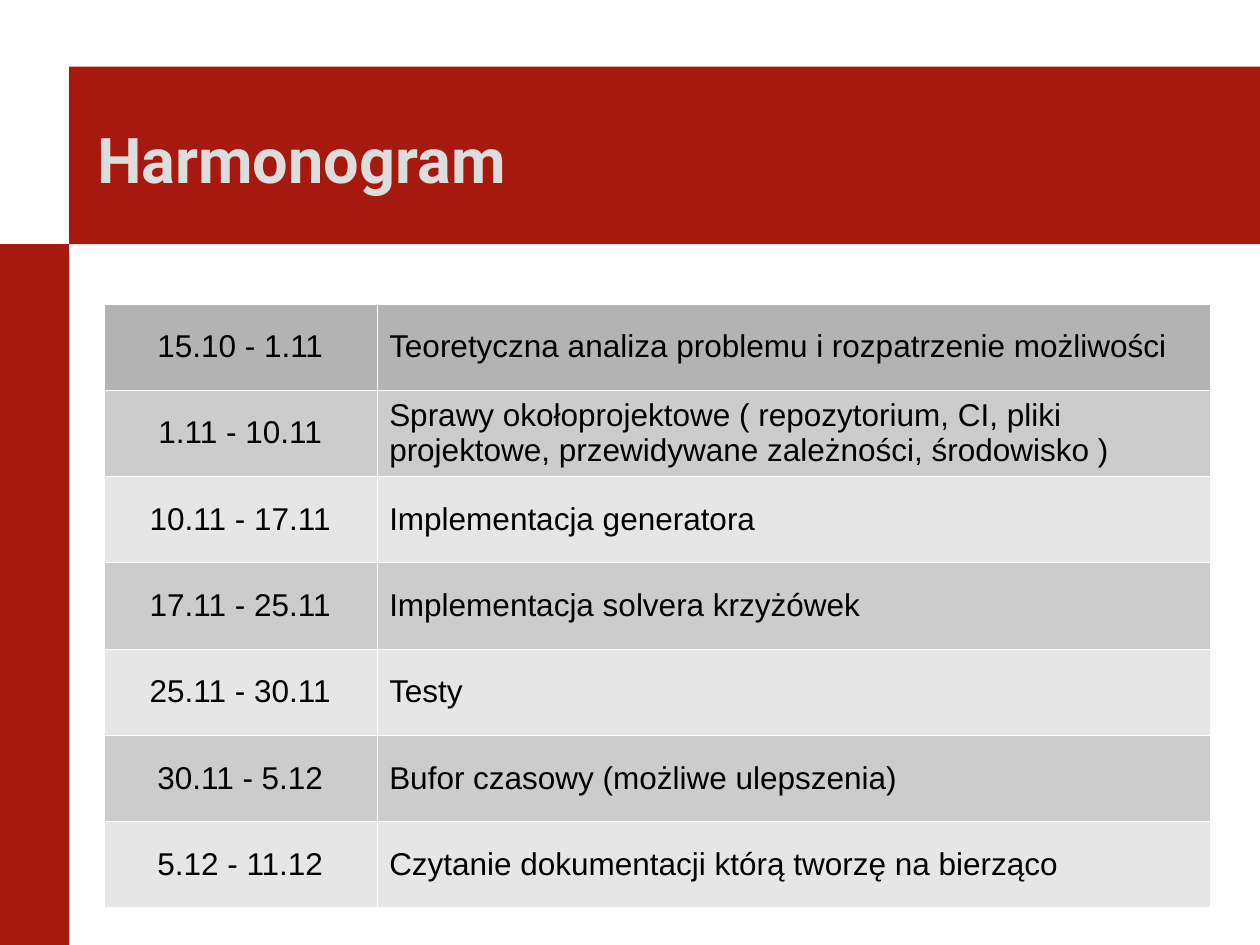
from lxml import etree
from pptx import Presentation
from pptx.dml.color import RGBColor
from pptx.enum.shapes import MSO_SHAPE
from pptx.enum.text import MSO_ANCHOR, PP_ALIGN
from pptx.oxml.ns import qn
from pptx.util import Pt

RECT = MSO_SHAPE.RECTANGLE
MIDDLE = MSO_ANCHOR.MIDDLE
LEFT, CENTER = PP_ALIGN.LEFT, PP_ALIGN.CENTER

TITLE = "Harmonogram"
SCHEDULE = [
    ("15.10 - 1.11", "Teoretyczna analiza problemu i rozpatrzenie możliwości"),
    ("1.11 - 10.11", "Sprawy okołoprojektowe ( repozytorium, CI, pliki projektowe, "
                     "przewidywane zależności, środowisko )"),
    ("10.11 - 17.11", "Implementacja generatora"),
    ("17.11 - 25.11", "Implementacja solvera krzyżówek"),
    ("25.11 - 30.11", "Testy"),
    ("30.11 - 5.12", "Bufor czasowy (możliwe ulepszenia)"),
    ("5.12 - 11.12", "Czytanie dokumentacji którą tworzę na bierząco"),
]

RED, TITLE_GREY, BLACK, WHITE = "A7190E", "DDDDDD", "000000", "FFFFFF"
HEADER_FILL, BAND_FILLS = "B3B3B3", ("E6E6E6", "CCCCCC")

SLIDE_W, SLIDE_H = 720, 540
BAND_X, BAND_Y, BAND_BOTTOM = 39.5, 38, 139.5
BANDS = [
    (BAND_X, BAND_Y, SLIDE_W - BAND_X, BAND_BOTTOM - BAND_Y),
    (0, BAND_BOTTOM, BAND_X, SLIDE_H - BAND_BOTTOM),
]
TITLE_BOX = (48.25, 49.7, 663, 81.4)
TABLE_X, TABLE_Y, ROW_H = 59.25, 173.5, 49.3
COL_WIDTHS = (156, 476.4)
BORDER_W = 0.06


def rgb(hex_color):
    return RGBColor.from_string(hex_color)


def add_text(tf, text, font, size, color, align, bold=False):
    p = tf.paragraphs[0]
    p.alignment = align
    r = p.add_run()
    r.text = text
    r.font.name, r.font.size, r.font.bold = font, Pt(size), bold
    r.font.color.rgb = rgb(color)


def set_borders(cell, color, width):
    """Draw all four cell edges; lines must precede the fill in tcPr."""
    tc_pr = cell._tc.get_or_add_tcPr()
    for i, side in enumerate(("a:lnL", "a:lnR", "a:lnT", "a:lnB")):
        ln = etree.Element(qn(side), w=str(int(Pt(width))))
        fill = etree.SubElement(ln, qn("a:solidFill"))
        etree.SubElement(fill, qn("a:srgbClr"), val=color)
        tc_pr.insert(i, ln)


def add_band(s, box):
    sp = s.shapes.add_shape(RECT, *map(Pt, box))
    sp.shadow.inherit = False
    sp.fill.solid()
    sp.fill.fore_color.rgb = rgb(RED)
    sp.line.fill.background()


def add_title(s):
    title = s.shapes.title
    title.left, title.top, title.width, title.height = map(Pt, TITLE_BOX)
    tf = title.text_frame
    tf.word_wrap = True
    tf.vertical_anchor = MIDDLE
    add_text(tf, TITLE, "Roboto", 36, TITLE_GREY, LEFT, bold=True)
    s.shapes._spTree.append(title._element)  # in front of the bands


def add_schedule(s):
    n = len(SCHEDULE)
    table = s.shapes.add_table(n, len(COL_WIDTHS), Pt(TABLE_X), Pt(TABLE_Y),
                               Pt(sum(COL_WIDTHS)), Pt(n * ROW_H)).table
    for col, width in zip(table.columns, COL_WIDTHS):
        col.width = Pt(width)
    for i, entry in enumerate(SCHEDULE):
        table.rows[i].height = Pt(ROW_H)
        for j, (text, align) in enumerate(zip(entry, (CENTER, LEFT))):
            cell = table.cell(i, j)
            cell.vertical_anchor = MIDDLE
            cell.fill.solid()
            cell.fill.fore_color.rgb = rgb(BAND_FILLS[i % 2] if i else HEADER_FILL)
            set_borders(cell, WHITE, BORDER_W)
            add_text(cell.text_frame, text, "Arial", 18, BLACK, align)


def main():
    prs = Presentation()
    prs.slide_width, prs.slide_height = Pt(SLIDE_W), Pt(SLIDE_H)
    s = prs.slides.add_slide(prs.slide_layouts[5])
    for box in BANDS:
        add_band(s, box)
    add_title(s)
    add_schedule(s)
    prs.save("out.pptx")


if __name__ == "__main__":
    main()
